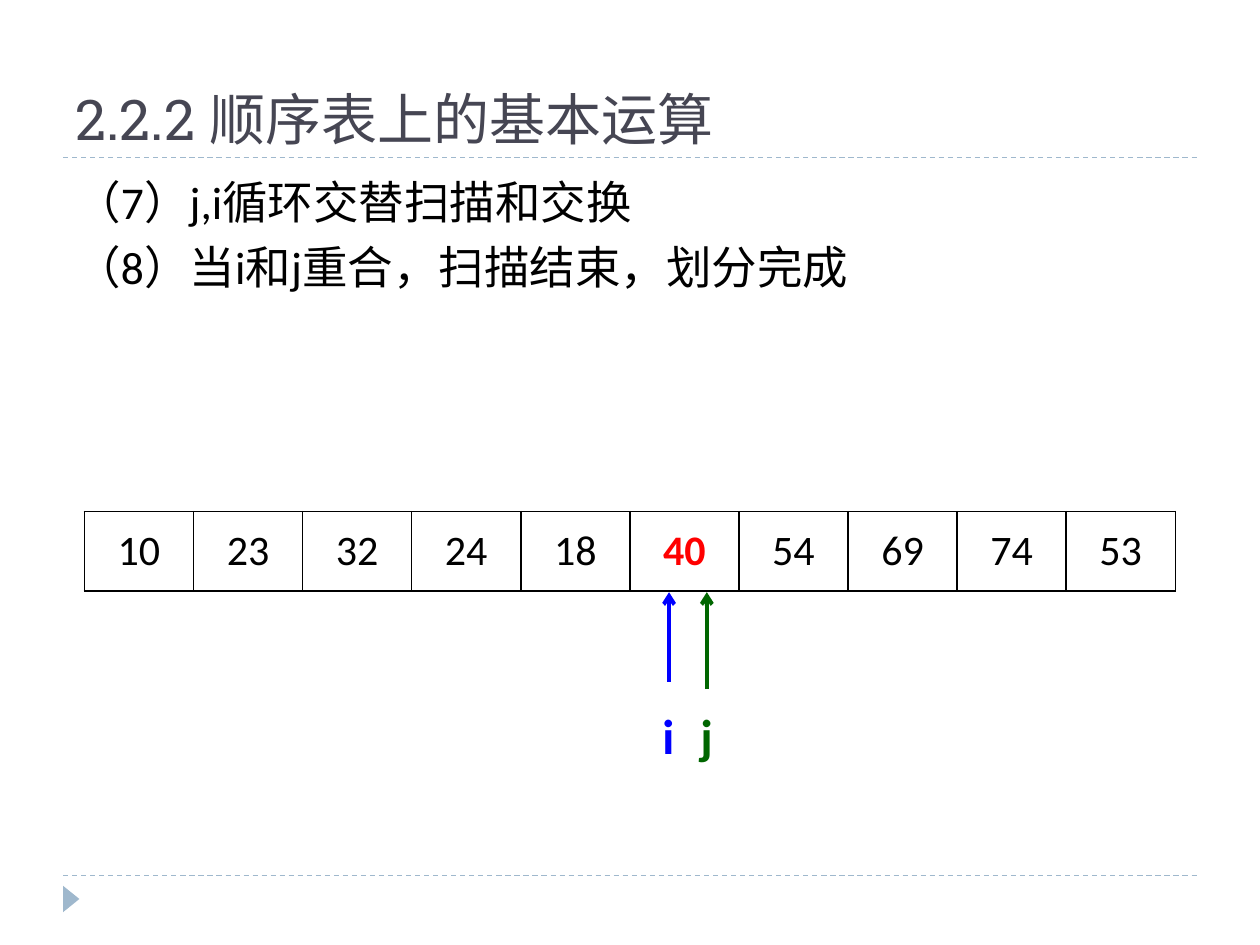
from dataclasses import dataclass

from lxml.etree import SubElement
from pptx import Presentation
from pptx.dml.color import RGBColor
from pptx.enum.dml import MSO_LINE
from pptx.enum.shapes import MSO_CONNECTOR, MSO_SHAPE
from pptx.enum.text import MSO_ANCHOR, MSO_AUTO_SIZE, PP_ALIGN
from pptx.oxml.ns import qn
from pptx.util import Inches, Pt

COLUMNS, ROWS = 100, 75  # square grid over the slide
DECK_WIDTH, DECK_HEIGHT = Inches(10), Inches(7.5)


@dataclass(frozen=True)
class Theme:
    heading_font: str = "Roboto Slab"
    body_font: str = "Calibri"
    heading: str = "464653"
    ink: str = "000000"
    paper: str = "FFFFFF"
    accent: str = "9FB8CD"
    pivot: str = "FF0000"
    index_i: str = "0000FF"
    index_j: str = "006600"
    title_size: float = 32
    body_size: float = 26
    cell_size: float = 24
    label_size: float = 28


@dataclass(frozen=True)
class IndexPointer:
    name: str
    column: float
    tail_row: float
    color: str
    label_height: float


THEME = Theme()
VALUES = [10, 23, 32, 24, 18, 40, 54, 69, 74, 53]
PIVOT = 40
TABLE_LEFT, TABLE_TOP, TABLE_WIDTH, TABLE_HEIGHT = 6.7, 40.6, 86.6, 6.3
POINTERS = [
    IndexPointer("i", 53.1, 54.1, THEME.index_i, 5.2),
    IndexPointer("j", 56.1, 54.7, THEME.index_j, 5.7),
]
STEPS = ["（7）j,i循环交替扫描和交换", "（8）当i和j重合，扫描结束，划分完成"]


def across(columns: float) -> int:
    return round(DECK_WIDTH * columns / COLUMNS)


def down(rows: float) -> int:
    return round(DECK_HEIGHT * rows / ROWS)


def area(left: float, top: float, width: float, height: float) -> tuple:
    return across(left), down(top), across(width), down(height)


def write(frame, lines: list, *, size: float, color: str = THEME.ink,
          font: str = THEME.body_font, bold: bool = False, before: float = 0,
          align=PP_ALIGN.LEFT) -> None:
    for number, line in enumerate(lines):
        para = frame.add_paragraph() if number else frame.paragraphs[0]
        para.alignment = align
        para.space_before = Pt(before)
        span = para.add_run()
        span.text = line
        span.font.name = font
        span.font.size = Pt(size)
        span.font.bold = bold
        span.font.color.rgb = RGBColor.from_string(color)


def add_text(page, place: tuple, lines: list, *, wrap: bool = True,
             anchor=MSO_ANCHOR.TOP, **text_format) -> None:
    frame = page.shapes.add_textbox(*area(*place)).text_frame
    frame.word_wrap = wrap
    frame.auto_size = MSO_AUTO_SIZE.NONE if wrap else MSO_AUTO_SIZE.SHAPE_TO_FIT_TEXT
    frame.vertical_anchor = anchor
    write(frame, lines, **text_format)


def add_line(page, start: tuple, end: tuple, color: str, width: float):
    line = page.shapes.add_connector(
        MSO_CONNECTOR.STRAIGHT, across(start[0]), down(start[1]),
        across(end[0]), down(end[1]))
    line.line.color.rgb = RGBColor.from_string(color)
    line.line.width = Pt(width)
    SubElement(line._element.spPr, qn("a:effectLst"))
    return line


def add_frame(page) -> None:
    """Draw the dashed rules and the corner marker."""
    for row in (69.5, 12.5):
        rule = add_line(page, (5, row), (95, row), THEME.accent, 0.75)
        rule.line.dash_style = MSO_LINE.DASH
    marker = page.shapes.add_shape(
        MSO_SHAPE.ISOSCELES_TRIANGLE, *area(4.6, 70.7, 2.1, 1.3))
    marker.rotation = 90
    marker.shadow.inherit = False
    marker.fill.solid()
    marker.fill.fore_color.rgb = RGBColor.from_string(THEME.accent)
    marker.line.fill.background()


def add_pointer(page, pointer: IndexPointer) -> None:
    arrow = add_line(page, (pointer.column, pointer.tail_row),
                     (pointer.column, 47), pointer.color, 2.25)
    SubElement(arrow.line._get_or_add_ln(), qn("a:tailEnd"), type="arrow")
    add_text(page, (pointer.column - 1.5, 55.5, 3, pointer.label_height),
             [pointer.name], wrap=False, size=THEME.label_size,
             color=pointer.color, bold=True)


def add_borders(cell, color: str, width: float) -> None:
    properties = cell._tc.get_or_add_tcPr()
    for position, side in enumerate(("lnL", "lnR", "lnT", "lnB")):
        border = SubElement(properties, qn(f"a:{side}"), w=str(Pt(width)))
        fill = SubElement(border, qn("a:solidFill"))
        SubElement(fill, qn("a:srgbClr"), val=color)
        properties.insert(position, border)


def add_array(page) -> None:
    table = page.shapes.add_table(
        1, len(VALUES),
        *area(TABLE_LEFT, TABLE_TOP, TABLE_WIDTH, TABLE_HEIGHT)).table
    table.first_row = table.horz_banding = False
    for column, value in enumerate(VALUES):
        table.columns[column].width = across(TABLE_WIDTH / len(VALUES))
        cell = table.cell(0, column)
        cell.vertical_anchor = MSO_ANCHOR.MIDDLE
        cell.fill.solid()
        cell.fill.fore_color.rgb = RGBColor.from_string(THEME.paper)
        add_borders(cell, THEME.ink, 1)
        is_pivot = value == PIVOT
        write(cell.text_frame, [str(value)], size=THEME.cell_size,
              color=THEME.pivot if is_pivot else THEME.ink, bold=is_pivot,
              align=PP_ALIGN.CENTER)


def main() -> None:
    deck = Presentation()
    deck.slide_width, deck.slide_height = DECK_WIDTH, DECK_HEIGHT
    page = deck.slides.add_slide(deck.slide_layouts[6])
    add_frame(page)
    add_text(page, (5, 1.7, 90, 10.8), ["2.2.2 顺序表上的基本运算"],
             anchor=MSO_ANCHOR.BOTTOM, size=THEME.title_size,
             color=THEME.heading, font=THEME.heading_font)
    add_text(page, (5, 13.3, 90, 54), STEPS, size=THEME.body_size, before=6)
    for pointer in POINTERS:
        add_pointer(page, pointer)
    add_array(page)
    deck.save("out.pptx")


if __name__ == "__main__":
    main()
